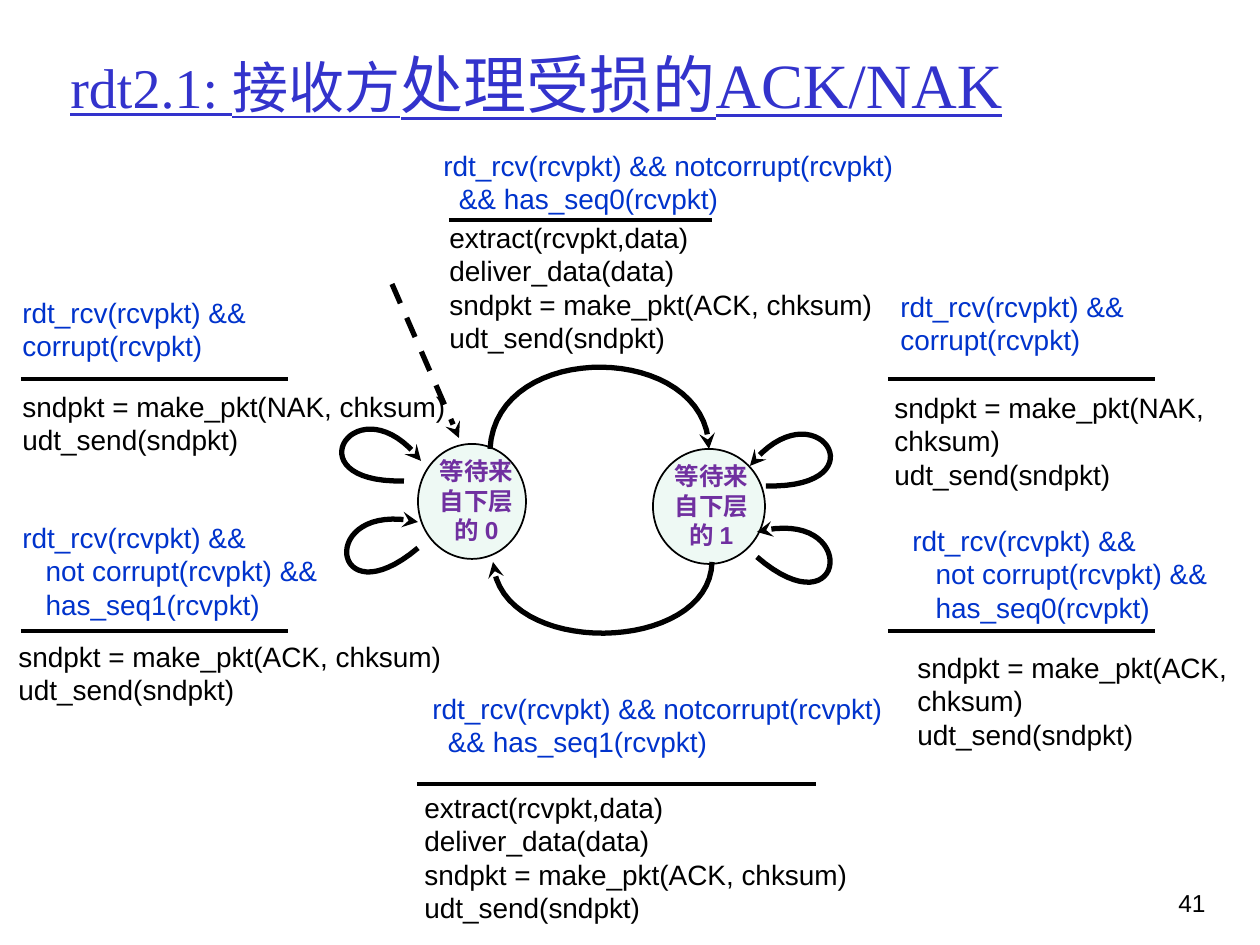
from pptx import Presentation
from pptx.dml.color import RGBColor
from pptx.enum.dml import MSO_LINE
from pptx.enum.shapes import MSO_CONNECTOR, MSO_SHAPE
from pptx.enum.text import MSO_ANCHOR, PP_ALIGN
from pptx.oxml.ns import qn
from pptx.oxml.xmlchemy import OxmlElement
from pptx.util import Emu, Pt

SCALE = 914400 / 126
LEFT, CENTER, RIGHT = PP_ALIGN.LEFT, PP_ALIGN.CENTER, PP_ALIGN.RIGHT
TOP, MIDDLE = MSO_ANCHOR.TOP, MSO_ANCHOR.MIDDLE
STRAIGHT, OVAL, DASH = MSO_CONNECTOR.STRAIGHT, MSO_SHAPE.OVAL, MSO_LINE.DASH
CURVE_STEPS = 32

COLORS = {
    "title": "3333CC",
    "event": "0033CC",
    "ink": "000000",
    "state": "EEF9F4",
    "state_text": "7030A0",
}


def px(length):
    return Emu(round(length * SCALE))


def color(name):
    return RGBColor.from_string(COLORS[name])


def add_text(page, box, lines, size=16, name="ink", font="Arial", bold=False,
             underline=False, align=LEFT, anchor=TOP):
    """Add one paragraph per line; a line is a string or a list of (text, size)."""
    frame = page.shapes.add_textbox(*map(px, box)).text_frame
    frame.word_wrap = True
    frame.vertical_anchor = anchor
    for index, line in enumerate(lines):
        para = frame.paragraphs[0] if index == 0 else frame.add_paragraph()
        para.alignment = align
        for text, points in [(line, size)] if isinstance(line, str) else line:
            span = para.add_run()
            span.text = text
            span.font.name = font
            span.font.size = Pt(points)
            span.font.bold = bold
            span.font.underline = underline
            span.font.color.rgb = color(name)


def style_line(shape, width):
    shape.line.color.rgb = color("ink")
    shape.line.width = Pt(width)


def add_arrowhead(shape):
    head = OxmlElement("a:tailEnd")
    head.set("type", "stealth")
    shape.element.spPr.find(qn("a:ln")).append(head)


def add_line(page, start, end, width):
    line = page.shapes.add_connector(STRAIGHT, *map(px, start + end))
    style_line(line, width)
    line.element.spPr.append(OxmlElement("a:effectLst"))
    return line


def add_curved_arrow(page, *controls):
    """Draw a cubic Bezier through its four control points."""
    def point(t):
        weights = ((1 - t) ** 3, 3 * t * (1 - t) ** 2, 3 * t ** 2 * (1 - t), t ** 3)
        return tuple(px(sum(w * c[axis] for w, c in zip(weights, controls)))
                     for axis in (0, 1))

    points = [point(step / CURVE_STEPS) for step in range(CURVE_STEPS + 1)]
    builder = page.shapes.build_freeform(*points[0])
    builder.add_line_segments(points[1:], close=False)
    arrow = builder.convert_to_shape()
    arrow.shadow.inherit = False
    arrow.fill.background()
    style_line(arrow, 3)
    add_arrowhead(arrow)


def add_state(page, box, label):
    left, top = box[:2]
    circle = page.shapes.add_shape(OVAL, *map(px, box))
    circle.shadow.inherit = False
    circle.fill.solid()
    circle.fill.fore_color.rgb = color("state")
    style_line(circle, 1)
    add_text(page, (left + 3, top + 6, 111, 87), [label], size=14,
             name="state_text", bold=True, align=CENTER)


def add_transition(page, bar, event, event_box, actions, action_box):
    """Put the event above a bar and the actions below; boxes are relative to the bar."""
    left, top, width = bar
    for lines, box, name in ((event, event_box, "event"), (actions, action_box, "ink")):
        dx, dy, *size = box
        add_text(page, (left + dx, top + dy, *size), lines, name=name)
    add_line(page, (left, top), (left + width, top), 2.5)


def add_transitions(page):
    corrupt = ["rdt_rcv(rcvpkt) && corrupt(rcvpkt)"]
    send = "udt_send(sndpkt)"
    nak = ["sndpkt = make_pkt(NAK, chksum)", send]
    ack = ["sndpkt = make_pkt(ACK, chksum)", send]
    deliver = ["extract(rcvpkt,data)", "deliver_data(data)"] + ack

    def expected(number):
        return ["rdt_rcv(rcvpkt) && notcorrupt(rcvpkt)",
                f"  && has_seq{number}(rcvpkt)"]

    def duplicate(number):
        return ["rdt_rcv(rcvpkt) &&", "   not corrupt(rcvpkt) &&",
                f"   has_seq{number}(rcvpkt)"]

    for transition in (
        ((449, 220, 263), expected(0), (-18, -78, 548, 68), deliver, (-12, -6, 479, 139)),
        ((417, 784, 399), expected(1), (3, -99, 480, 81), deliver, (-5, 0, 494, 142)),
        ((21, 379, 267), corrupt, (-11, -90, 381, 78), nak, (-11, 4, 461, 103)),
        ((888, 379, 267), corrupt, (0, -96, 348, 100), nak, (-6, 5, 354, 106)),
        ((21, 631, 267), duplicate(1), (-11, -117, 362, 106), ack, (-15, 2, 452, 88)),
        ((888, 631, 267), duplicate(0), (12, -114, 350, 117), ack, (17, 13, 343, 137)),
    ):
        add_transition(page, *transition)


def add_state_machine(page):
    for number, box in enumerate(((418, 444, 108, 115), (653, 449, 112, 115))):
        add_state(page, box, f"等待来自下层的 {number}")

    entry = add_line(page, (392, 284), (459, 438), 3)
    entry.line.dash_style = DASH
    add_arrowhead(entry)

    for controls in (
        ((490, 449), (496, 338), (708, 342), (709, 449)),
        ((712, 562), (710, 655), (499, 659), (493, 562)),
        ((404, 481), (288, 484), (358, 378), (421, 461)),
        ((418, 548), (330, 622), (316, 499), (418, 522)),
        ((766, 486), (885, 489), (815, 383), (750, 466)),
        ((757, 557), (848, 635), (861, 505), (757, 532)),
    ):
        add_curved_arrow(page, *controls)


def main():
    deck = Presentation()
    deck.slide_width, deck.slide_height = px(1260), px(945)
    page = deck.slides.add_slide(deck.slide_layouts[6])
    add_text(page, (58, 21, 1147, 125),
             [[("rdt2.1: 接收方", 32), ("处理受损的ACK/NAK", 36)]],
             name="title", font="Times New Roman", underline=True, anchor=MIDDLE)
    add_state_machine(page)
    add_transitions(page)
    add_text(page, (1125, 882, 93, 63), ["41"], size=14, align=RIGHT)
    deck.save("out.pptx")


if __name__ == "__main__":
    main()
